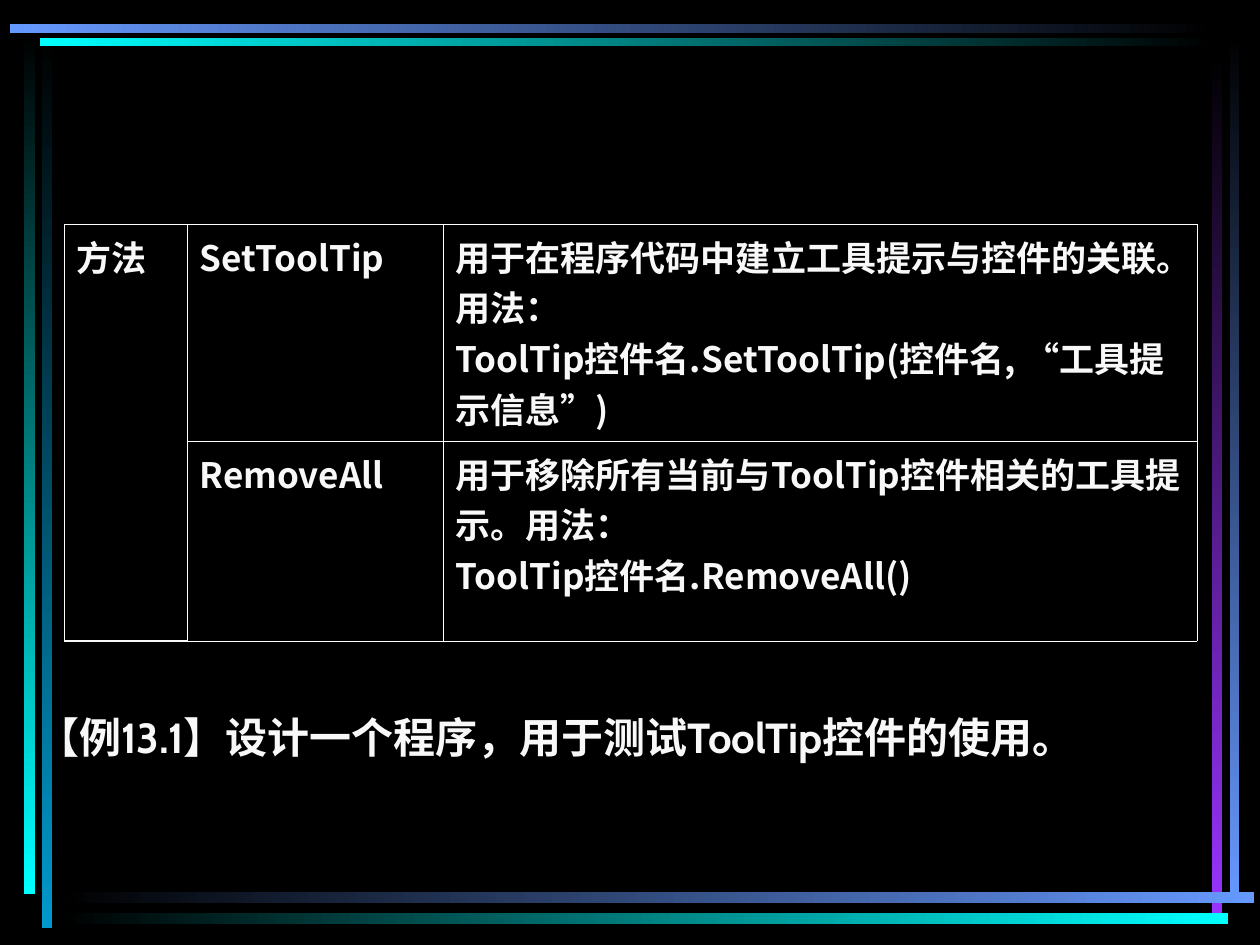
from dataclasses import dataclass

from lxml.etree import SubElement
from pptx import Presentation
from pptx.dml.color import RGBColor
from pptx.enum.shapes import MSO_SHAPE
from pptx.oxml.ns import qn
from pptx.util import Emu, Pt


@dataclass(frozen=True)
class Theme:
    background: str = "000000"
    text: str = "F8F8F8"
    border: str = "FFFFFF"
    cyan: str = "00FFFF"
    teal: str = "0099CC"
    blue: str = "6699FF"
    purple: str = "9933FF"
    table_font: str = "Noto Sans CJK SC"
    caption_font: str = "Cabin"
    quote_font: str = "Times New Roman"
    table_size: int = 20
    caption_size: int = 24
    thin_line: float = 0.45
    thick_line: float = 1.08


def px(length):
    return Emu(round(length * 914400 / 126))


def rgb(value):
    return RGBColor.from_string(value)


class SlideBuilder:
    """Draws styled elements, measured in px, on one slide."""

    def __init__(self, slide, theme):
        self.slide = slide
        self.theme = theme
        slide.background.fill.solid()
        slide.background.fill.fore_color.rgb = rgb(theme.background)

    def bar(self, left, top, width, height, start, end):
        shape = self.slide.shapes.add_shape(
            MSO_SHAPE.RECTANGLE, px(left), px(top), px(width), px(height))
        shape.shadow.inherit = False
        shape.line.fill.background()
        shape.fill.gradient()
        shape.fill.gradient_angle = 0 if width > height else 270
        for stop, color in zip(shape.fill.gradient_stops, (start, end)):
            stop.color.rgb = rgb(color)

    def style(self, paragraph, font_name, size):
        font = paragraph.font
        font.name, font.size, font.bold = font_name, Pt(size), True
        font.color.rgb = rgb(self.theme.text)
        properties = paragraph._p.pPr.find(qn("a:defRPr"))
        SubElement(properties, qn("a:ea"), typeface=self.theme.table_font)

    def border(self, cell, side, color, width):
        properties = cell._tc.get_or_add_tcPr()
        line = SubElement(properties, qn(f"a:ln{side}"), w=str(Pt(width)))
        fill = SubElement(line, qn("a:solidFill"))
        SubElement(fill, qn("a:srgbClr"), val=color)

    def fill_cell(self, cell, paragraphs):
        theme = self.theme
        frame = cell.text_frame
        for index, runs in enumerate(paragraphs):
            paragraph = frame.add_paragraph() if index else frame.paragraphs[0]
            for text in runs:
                run = paragraph.add_run()
                run.text = text
                if text in "“”":
                    run.font.name = theme.quote_font
            self.style(paragraph, theme.table_font, theme.table_size)

    def table(self, left, top, columns, rows, contents):
        theme = self.theme
        table = self.slide.shapes.add_table(
            len(rows), len(columns), px(left), px(top),
            px(sum(columns)), px(sum(rows))).table
        table.first_row = table.horz_banding = False
        for column, width in zip(table.columns, columns):
            column.width = px(width)
        for row, height in zip(table.rows, rows):
            row.height = px(height)
        table.cell(0, 0).merge(table.cell(len(rows) - 1, 0))
        for row_index, row in enumerate(contents):
            for column_index, paragraphs in enumerate(row):
                cell = table.cell(row_index, column_index)
                for side in "LRT":
                    self.border(cell, side, theme.border, theme.thin_line)
                if column_index:
                    self.border(cell, "B", theme.border, theme.thin_line)
                else:
                    self.border(cell, "B", theme.text, theme.thick_line)
                cell.fill.background()
                self.fill_cell(cell, paragraphs)

    def caption(self, left, top, width, height, text):
        frame = self.slide.shapes.add_textbox(
            px(left), px(top), px(width), px(height)).text_frame
        frame.word_wrap = True
        paragraph = frame.paragraphs[0]
        paragraph.text = text
        paragraph.line_spacing = 0.9
        self.style(paragraph, self.theme.caption_font, self.theme.caption_size)


def main():
    presentation = Presentation()
    presentation.slide_width, presentation.slide_height = px(1260), px(945)
    theme = Theme()
    slide = presentation.slides.add_slide(presentation.slide_layouts[6])
    builder = SlideBuilder(slide, theme)

    black = theme.background
    for bar in (
        (42, 35, 10, 893, black, theme.teal),
        (24, 32, 11, 862, black, theme.cyan),
        (1230, 30, 9, 873, black, theme.blue),
        (1212, 53, 10, 861, black, theme.purple),
        (57, 892, 1197, 11, black, theme.blue),
        (57, 913, 1171, 11, black, theme.cyan),
        (40, 38, 1175, 8, theme.cyan, black),
        (10, 24, 1205, 9, theme.blue, black),
    ):
        builder.bar(*bar)

    builder.table(64, 224, (123, 256, 754), (217, 200), (
        (
            [["方法"]],
            [["SetToolTip"]],
            [["用于在程序代码中建立工具提示与控件的关联。用法："],
             ["ToolTip控件名.SetToolTip(控件名, ", "“", "工具提示信息", "”", ")"]],
        ),
        (
            [],
            [["RemoveAll"]],
            [["用于移除所有当前与ToolTip控件相关的工具提示。用法："],
             ["ToolTip控件名.RemoveAll()"]],
        ),
    ))
    builder.caption(25, 711, 1247, 65,
                    "【例13.1】设计一个程序，用于测试ToolTip控件的使用。")
    presentation.save("out.pptx")


if __name__ == "__main__":
    main()
